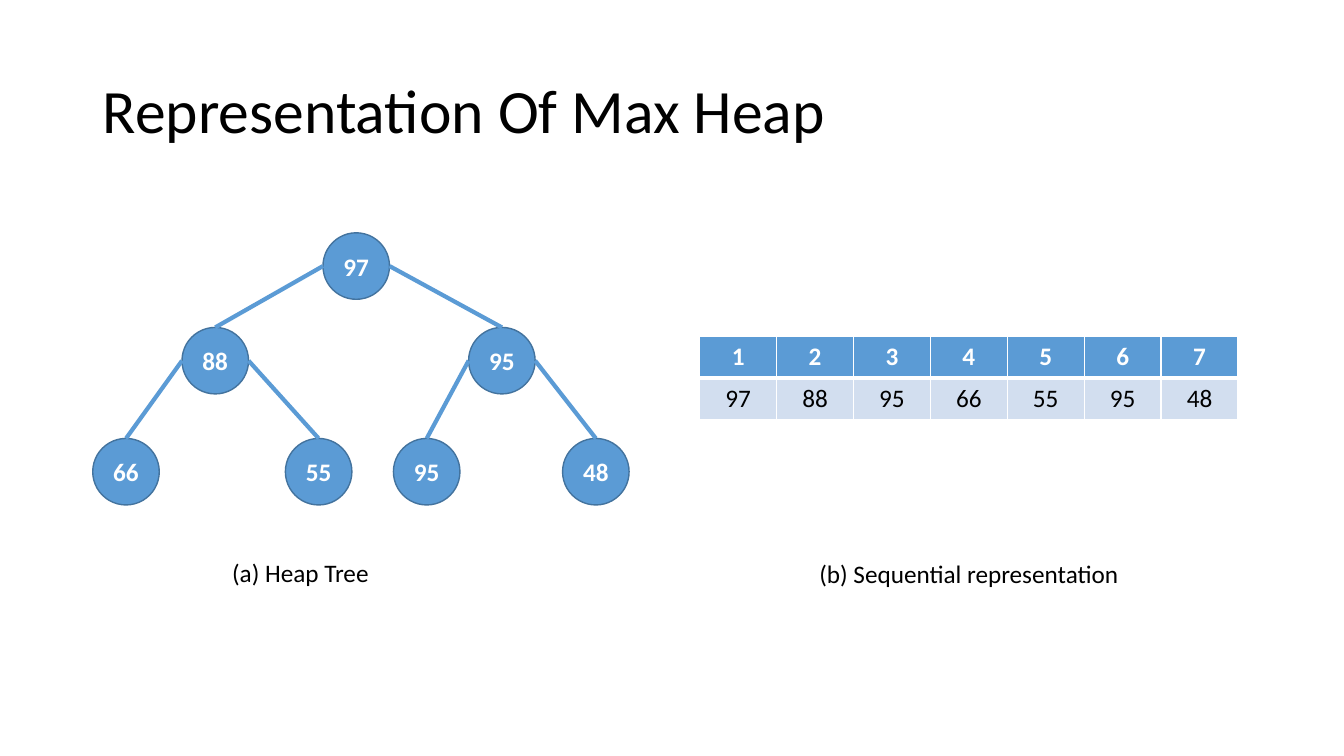
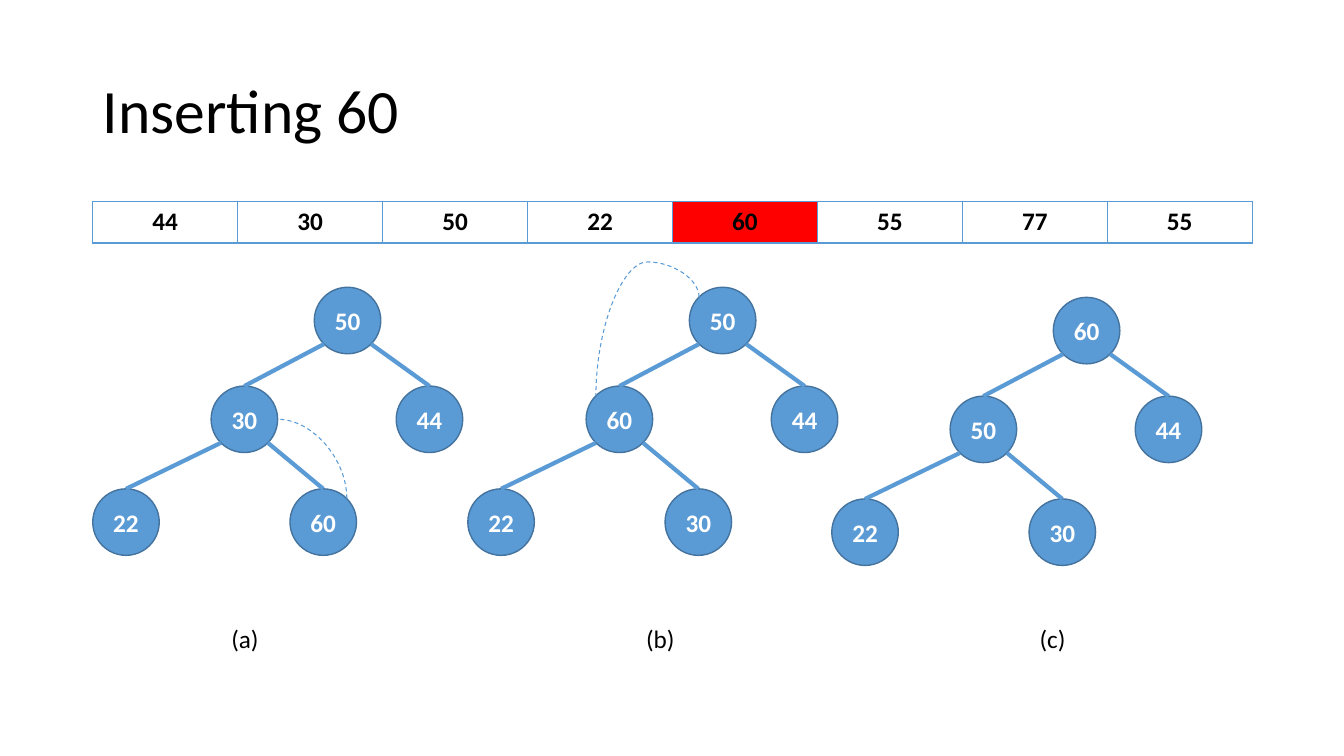
import math

import lxml.etree
import pptx
import pptx.dml.color
import pptx.enum.dml
import pptx.enum.shapes
import pptx.enum.text
import pptx.oxml.ns
import pptx.util

RGB = pptx.dml.color.RGBColor
BLUE = RGB(0x5B, 0x9B, 0xD5)
OUTLINE = RGB(0x43, 0x73, 0x9E)
PALE = RGB(0xD2, 0xDE, 0xEF)
RED = RGB(0xFF, 0x00, 0x00)
WHITE = RGB(0xFF, 0xFF, 0xFF)
BLACK = RGB(0x00, 0x00, 0x00)

FONT = "Calibri"
WIDTH, HEIGHT = 13.33, 7.5
MARGIN = 0.92
CONTENT = 11.5
NODE = 0.66
ROW = 0.41
TOP, UPPER_LEFT, LEFT, LOWER_LEFT, LOWER_RIGHT, RIGHT, UPPER_RIGHT = 0, 1, 2, 3, 5, 6, 7

FULL_TREE = [(0.49, 0), (0.19, 0.46), (0.8, 0.46), (0, 1), (0.41, 1), (0.64, 1), (1, 1)]
SMALL_TREE = [(0.73, 0), (0.39, 0.49), (1, 0.49), (0, 1), (0.65, 1)]

ALIGN = pptx.enum.text.PP_ALIGN
ANCHOR = pptx.enum.text.MSO_ANCHOR
CONNECTOR = pptx.enum.shapes.MSO_CONNECTOR
Inches = pptx.util.Inches
qn = pptx.oxml.ns.qn


def put_text(tf, text, size=18, color=BLACK, bold=False, align=ALIGN.CENTER, spacing=None):
    p = tf.paragraphs[0]
    p.alignment = align
    p.line_spacing = spacing
    r = p.add_run()
    r.text = text
    r.font.name = FONT
    r.font.size = pptx.util.Pt(size)
    r.font.bold = bold
    r.font.color.rgb = color


def add_titled_slide(prs, title):
    s = prs.slides.add_slide(prs.slide_layouts[5])
    tf = s.shapes.title.text_frame
    tf.vertical_anchor = ANCHOR.MIDDLE
    put_text(tf, title, size=44, align=ALIGN.LEFT, spacing=0.9)
    return s


def add_caption(s, text, box):
    tf = s.shapes.add_textbox(*map(Inches, box)).text_frame
    tf.word_wrap = True
    put_text(tf, text)


def add_node(s, text, x, y):
    sp = s.shapes.add_shape(pptx.enum.shapes.MSO_SHAPE.OVAL,
                            Inches(x), Inches(y), Inches(NODE), Inches(NODE))
    sp.shadow.inherit = False
    sp.fill.solid()
    sp.fill.fore_color.rgb = BLUE
    sp.line.color.rgb = OUTLINE
    sp.line.width = pptx.util.Pt(1)
    tf = sp.text_frame
    tf.margin_left = tf.margin_right = tf.margin_top = tf.margin_bottom = 0
    tf.vertical_anchor = ANCHOR.MIDDLE
    put_text(tf, text, color=WHITE, bold=True)
    return sp


def site_point(node, site):
    angle = site * math.pi / 4
    radius = node.width / 2
    return (round(node.left + radius * (1 - math.sin(angle))),
            round(node.top + radius * (1 - math.cos(angle))))


def style_link(link, start, start_site, end, end_site, weight):
    link.line.color.rgb = BLUE
    link.line.width = pptx.util.Pt(weight)
    lxml.etree.SubElement(link.element.spPr, qn("a:effectLst"))
    ends = link.element.find(qn("p:nvCxnSpPr")).find(qn("p:cNvCxnSpPr"))
    for tag, node, site in (("a:stCxn", start, start_site), ("a:endCxn", end, end_site)):
        lxml.etree.SubElement(ends, qn(tag), id=str(node.shape_id), idx=str(site))


def add_edge(s, parent, site, child):
    link = s.shapes.add_connector(CONNECTOR.STRAIGHT,
                                  *site_point(parent, site), *site_point(child, TOP))
    style_link(link, parent, site, child, TOP, 3)


def add_swap(s, start, start_site, end, end_site, preset, bend=None):
    x1, y1 = site_point(start, start_site)
    x2, y2 = site_point(end, end_site)
    cx, cy, dx, dy = (x1 + x2) / 2, (y1 + y2) / 2, (x2 - x1) / 2, (y2 - y1) / 2
    link = s.shapes.add_connector(CONNECTOR.CURVE, *map(round, (cx + dy, cy - dx, cx - dy, cy + dx)))
    spPr = link.element.spPr
    spPr.find(qn("a:xfrm")).set("rot", "16200000")
    geom = spPr.find(qn("a:prstGeom"))
    geom.set("prst", preset)
    if bend is not None:
        lxml.etree.SubElement(geom.find(qn("a:avLst")), qn("a:gd"), name="adj1", fmla=f"val {bend}")
    style_link(link, start, start_site, end, end_site, 0.75)
    link.line.dash_style = pptx.enum.dml.MSO_LINE.DASH


def add_tree(s, box, values, layout, sites):
    x, y, w, h = box
    nodes = [add_node(s, str(value), x + fx * (w - NODE), y + fy * (h - NODE))
             for value, (fx, fy) in zip(values, layout)]
    for i, child in enumerate(nodes[1:]):
        add_edge(s, nodes[i // 2], sites[i % 2], child)
    return nodes


def set_borders(cell, color, **weights):
    tcPr = cell._tc.get_or_add_tcPr()
    for side in "LRTB":
        ln = lxml.etree.SubElement(tcPr, qn(f"a:ln{side}"),
                                   w=str(pptx.util.Pt(weights.get(side, 1))))
        fill = lxml.etree.SubElement(ln, qn("a:solidFill"))
        lxml.etree.SubElement(fill, qn("a:srgbClr"), val=str(color))


def add_array(s, x, y, width, rows, border, style):
    table = s.shapes.add_table(len(rows), len(rows[0]), Inches(x), Inches(y),
                               Inches(width), Inches(ROW * len(rows))).table
    table.horz_banding = False
    for i, row in enumerate(rows):
        for j, value in enumerate(row):
            cell = table.cell(i, j)
            fill, color, bold, weights = style(i, value)
            set_borders(cell, border, **weights)
            if fill is None:
                cell.fill.background()
            else:
                cell.fill.solid()
                cell.fill.fore_color.rgb = fill
            put_text(cell.text_frame, str(value), color=color, bold=bold)


def indexed_style(row, value):
    return (BLUE, WHITE, True, {"B": 3}) if row == 0 else (PALE, BLACK, False, {"T": 3})


def highlight_style(row, value):
    return RED if value == 60 else None, BLACK, True, {"B": 2}


def build_representation(prs):
    s = add_titled_slide(prs, "Representation Of Max Heap")
    heap = [97, 88, 95, 66, 55, 95, 48]
    add_array(s, 6.94, 3.34, 5.34, [range(1, len(heap) + 1), heap], WHITE, indexed_style)
    add_tree(s, (MARGIN, 2.31, 5.32, 2.7), heap, FULL_TREE, (LEFT, RIGHT))
    add_caption(s, "(a) Heap Tree", (1.98, 5.48, 2, 0.4))
    add_caption(s, "(b) Sequential representation", (7.81, 5.49, 3.6, 0.4))


def build_insertion(prs):
    s = add_titled_slide(prs, "Inserting 60")
    add_array(s, MARGIN, 2, CONTENT, [[44, 30, 50, 22, 60, 55, 77, 55]], BLUE, highlight_style)
    steps = [
        ("(a)", MARGIN, 2.85, 2.43, [50, 30, 44, 22, 60]),
        ("(b)", 4.64, 2.85, 6.55, [50, 60, 44, 22, 30]),
        ("(c)", 8.25, 2.95, 10.44, [60, 50, 44, 22, 30]),
    ]
    trees = []
    for label, x, y, center, values in steps:
        trees.append(add_tree(s, (x, y, 3.67, 2.66), values, SMALL_TREE, (LOWER_LEFT, LOWER_RIGHT)))
        add_caption(s, label, (center - 0.4, 6.13, 0.8, 0.4))
    first, second = trees[:2]
    add_swap(s, first[4], UPPER_RIGHT, first[1], RIGHT, "curvedConnector2")
    add_swap(s, second[0], UPPER_LEFT, second[1], UPPER_LEFT, "curvedConnector3", -35600)


def main():
    prs = pptx.Presentation()
    prs.slide_width, prs.slide_height = Inches(WIDTH), Inches(HEIGHT)
    title = prs.slide_layouts[5].placeholders[0]
    title.left, title.top, title.width, title.height = map(Inches, (MARGIN, 0.4, CONTENT, 1.45))
    build_representation(prs)
    build_insertion(prs)
    prs.save("out.pptx")


if __name__ == "__main__":
    main()
